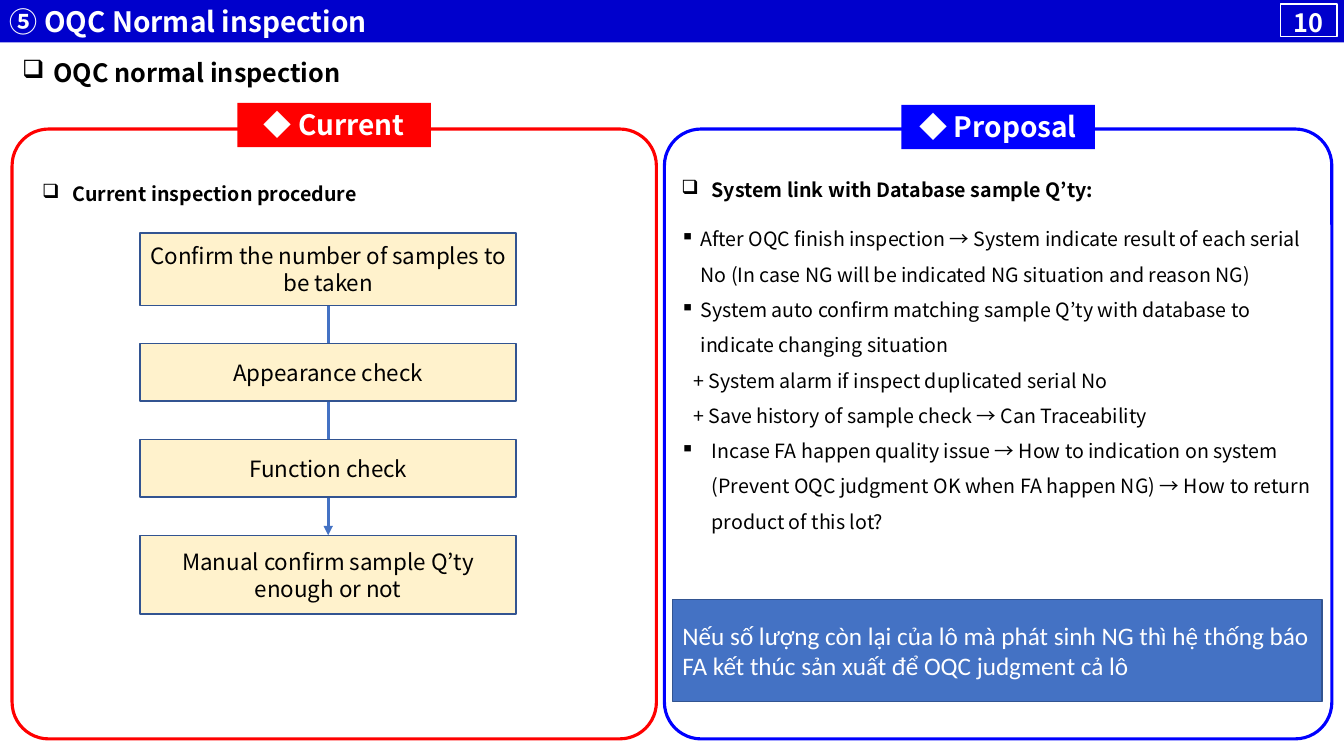
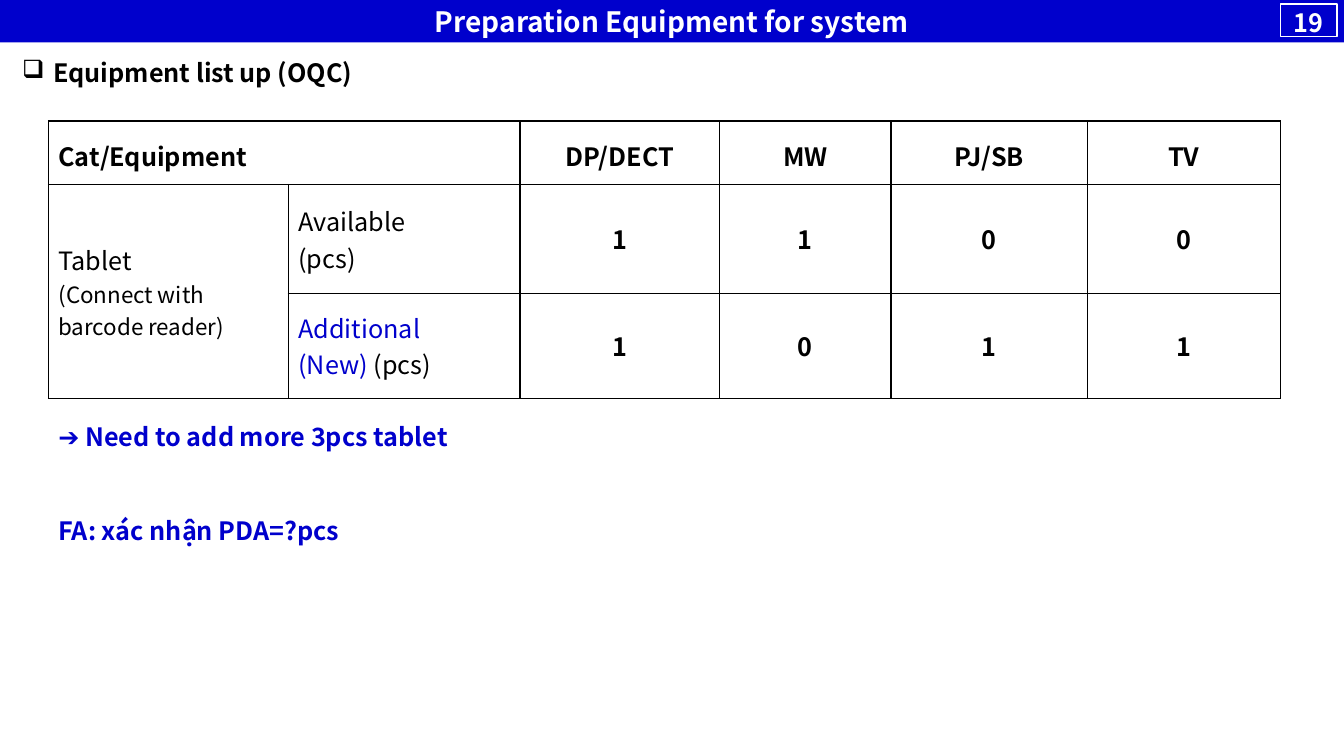
import itertools
from dataclasses import dataclass, replace
from typing import Any, Optional

import lxml.etree
import pptx
import pptx.dml.color
import pptx.enum.shapes
import pptx.enum.text
import pptx.oxml.ns
import pptx.presentation
import pptx.slide
import pptx.table
import pptx.text.text
import pptx.util

ALIGN = pptx.enum.text.PP_ALIGN
ANCHOR = pptx.enum.text.MSO_ANCHOR
SHAPE = pptx.enum.shapes.MSO_SHAPE
WIDTH = pptx.util.Inches(13.33)
HEIGHT = pptx.util.Inches(7.5)


@dataclass(frozen=True)
class Theme:
    font: str = "Noto Sans CJK JP"
    callout_font: str = "Calibri"
    navy: str = "0000CC"
    blue: str = "0000FF"
    red: str = "FF0000"
    white: str = "FFFFFF"
    black: str = "000000"
    accent: str = "4472C4"
    outline: str = "325491"
    cream: str = "FFF2CC"
    title: float = 20
    heading: float = 18
    step: float = 16
    body: float = 14
    thin: float = 1
    thick: float = 2.25


THEME = Theme()


@dataclass(frozen=True)
class Area:
    """Percent shares of the slide's width and height."""
    left: float
    top: float
    width: float
    height: float


@dataclass(frozen=True)
class Run:
    text: str
    size: float = THEME.heading
    color: str = THEME.black
    bold: bool = False
    font: str = THEME.font


@dataclass(frozen=True)
class Line:
    runs: tuple[Run, ...]
    align: ALIGN = ALIGN.LEFT
    bullet: str = ""
    indent: float = 0
    spacing: Optional[float] = None


@dataclass(frozen=True)
class Box:
    area: Area
    lines: tuple[Line, ...] = ()
    shape: Optional[SHAPE] = SHAPE.RECTANGLE
    fill: str = ""
    outline: str = ""
    weight: float = THEME.thin
    anchor: ANCHOR = ANCHOR.MIDDLE
    grows: bool = False
    bottom: float = 0.05


@dataclass(frozen=True)
class Panel:
    area: Area
    color: str
    label: str
    tag_top: float
    heading: str
    heading_left: float
    heading_top: float


def across(share: float) -> int:
    return round(WIDTH * share / 100)


def down(share: float) -> int:
    return round(HEIGHT * share / 100)


def color(code: str) -> pptx.dml.color.RGBColor:
    return pptx.dml.color.RGBColor.from_string(code)


def apply(target: Any, values: dict[str, Any]) -> None:
    for name, value in values.items():
        setattr(target, name, value)


def child(parent: Any, tag: str, **attributes: str) -> Any:
    return lxml.etree.SubElement(parent, pptx.oxml.ns.qn(tag), attributes)


def line(text: str, align: ALIGN = ALIGN.LEFT, bullet: str = "", indent: float = 0,
         spacing: Optional[float] = None, **style: Any) -> Line:
    return Line((Run(text, **style),), align, bullet, indent, spacing)


def write(frame: pptx.text.text.TextFrame, lines: tuple[Line, ...]) -> None:
    for index, item in enumerate(lines):
        paragraph = frame.add_paragraph() if index else frame.paragraphs[0]
        properties = paragraph._p.get_or_add_pPr()
        if item.indent:
            properties.set("marL", str(across(item.indent)))
        if item.bullet:
            properties.set("indent", str(-across(item.indent)))
            child(properties, "a:buChar", char=item.bullet)
        apply(paragraph, {"alignment": item.align, "line_spacing": item.spacing})
        for part in item.runs:
            run = paragraph.add_run()
            run.text = part.text
            apply(run.font, {"name": part.font, "size": pptx.util.Pt(part.size), "bold": part.bold})
            run.font.color.rgb = color(part.color)
            child(run._r.get_or_add_rPr(), "a:ea", typeface=part.font)


def draw_box(slide: pptx.slide.Slide, box: Box) -> None:
    area = box.area
    bounds = across(area.left), down(area.top), across(area.width), down(area.height)
    if box.shape is None:
        shape = slide.shapes.add_textbox(*bounds)
    else:
        shape = slide.shapes.add_shape(box.shape, *bounds)
        shape.shadow.inherit = False
        if box.shape == SHAPE.ROUNDED_RECTANGLE:
            shape.adjustments[0] = 0.06
        if box.fill:
            shape.fill.solid()
            shape.fill.fore_color.rgb = color(box.fill)
        else:
            shape.fill.background()
        if box.outline:
            shape.line.color.rgb = color(box.outline)
            shape.line.width = pptx.util.Pt(box.weight)
        else:
            shape.line.fill.background()
    if box.lines:
        fit = pptx.enum.text.MSO_AUTO_SIZE
        apply(shape.text_frame, {
            "word_wrap": True,
            "vertical_anchor": box.anchor,
            "margin_bottom": pptx.util.Inches(box.bottom),
            "auto_size": fit.SHAPE_TO_FIT_TEXT if box.grows else fit.NONE,
        })
        write(shape.text_frame, box.lines)


def draw_text(slide: pptx.slide.Slide, area: Area, *lines: Line) -> None:
    draw_box(slide, Box(area, lines, shape=None, anchor=ANCHOR.TOP, grows=True))


def start_slide(presentation: pptx.presentation.Presentation, title: str, align: ALIGN,
                number: str, heading: str) -> pptx.slide.Slide:
    slide = presentation.slides.add_slide(presentation.slide_layouts[6])
    bright = {"color": THEME.white, "bold": True}
    draw_box(slide, Box(Area(0, 0, 100, 5.6),
                        (line(title, align, size=THEME.title, **bright),), fill=THEME.navy))
    draw_box(slide, Box(Area(95.27, 0.53, 4.2, 4.27), (line(number, ALIGN.CENTER, **bright),),
                        outline=THEME.white, bottom=0))
    draw_text(slide, Area(0.9, 6.93, 98.2, 5.33),
              line(heading, bullet="❑", indent=2.33, bold=True))
    return slide


def draw_panel(slide: pptx.slide.Slide, panel: Panel) -> None:
    area = panel.area
    tag_width = 14.4
    draw_box(slide, Box(area, shape=SHAPE.ROUNDED_RECTANGLE, outline=panel.color,
                        weight=THEME.thick))
    tag = Area(area.left + (area.width - tag_width) / 2, panel.tag_top, tag_width, 5.87)
    label = line(panel.label, ALIGN.CENTER, size=THEME.title, color=THEME.white, bold=True)
    draw_box(slide, Box(tag, (label,), fill=panel.color, anchor=ANCHOR.TOP, grows=True))
    draw_text(slide, Area(panel.heading_left, panel.heading_top, 46.44, 4.53),
              line(panel.heading, bullet="❑", indent=2.25, size=THEME.body, bold=True))


def draw_arrow(slide: pptx.slide.Slide, x: float, top: float, bottom: float) -> None:
    arrow = slide.shapes.add_connector(pptx.enum.shapes.MSO_CONNECTOR.STRAIGHT,
                                       across(x), down(top), across(x), down(bottom))
    arrow.line.color.rgb = color(THEME.accent)
    arrow.line.width = pptx.util.Pt(THEME.thick)
    child(arrow.line._get_or_add_ln(), "a:tailEnd", type="triangle")
    child(arrow._element.spPr, "a:effectLst")


def draw_steps(slide: pptx.slide.Slide) -> None:
    left, width, first_top, gap = 10.43, 27.98, 30.8, 5.07
    steps = {
        "Confirm the number of samples to be taken": 9.6,
        "Appearance check": 7.6,
        "Function check": 7.6,
        "Manual confirm sample Q’ty enough or not": 10.4,
    }
    heights = list(steps.values())
    tops = list(itertools.accumulate((height + gap for height in heights[:-1]), initial=first_top))
    draw_arrow(slide, left + width / 2, first_top + heights[0], tops[-1])
    for (text, height), top in zip(steps.items(), tops):
        draw_box(slide, Box(Area(left, top, width, height),
                            (line(text, ALIGN.CENTER, size=THEME.step),),
                            fill=THEME.cream, outline=THEME.outline))


def build_inspection(presentation: pptx.presentation.Presentation) -> None:
    slide = start_slide(presentation, "⑤ OQC Normal inspection", ALIGN.LEFT, "10",
                        "OQC normal inspection")
    for panel in (
        Panel(Area(49.44, 17.07, 49.66, 80.67), THEME.blue, "◆ Proposal", 13.87,
              "System link with Database sample Q’ty:", 49.96, 22.93),
        Panel(Area(0.9, 17.07, 47.94, 80.67), THEME.red, "◆ Current", 13.6,
              "Current inspection procedure", 2.4, 23.47),
    ):
        draw_panel(slide, panel)
    draw_steps(slide)
    notes = (
        ("▪", 1.5, "After OQC finish inspection → System indicate result of each serial No "
                   "(In case NG will be indicated NG situation and reason NG)"),
        ("▪", 1.5, "System auto confirm matching sample Q’ty with database to indicate "
                   "changing situation"),
        ("", 0.94, "+ System alarm if inspect duplicated serial No"),
        ("", 0.94, "+ Save history of sample check → Can Traceability"),
        ("▪", 2.33, "Incase FA happen quality issue → How to indication on system (Prevent OQC "
                    "judgment OK when FA happen NG) → How to return product of this lot?"),
    )
    draw_text(slide, Area(49.89, 27.87, 48.99, 48.13),
              *(line(text, bullet=bullet, indent=indent, spacing=1.5, size=THEME.body)
                for bullet, indent, text in notes))
    callout = line("Nếu số lượng còn lại của lô mà phát sinh NG thì hệ thống báo FA kết thúc "
                   "sản xuất để OQC judgment cả lô", color=THEME.white, font=THEME.callout_font)
    draw_box(slide, Box(Area(50.04, 79.33, 48.31, 13.47), (callout,),
                        fill=THEME.accent, outline=THEME.outline))


def format_cell(cell: pptx.table._Cell, lines: tuple[Line, ...], bottom: float) -> None:
    apply(cell, {"vertical_anchor": ANCHOR.MIDDLE, "margin_bottom": pptx.util.Inches(bottom)})
    properties = cell._tc.get_or_add_tcPr()
    for side in ("a:lnL", "a:lnR", "a:lnT", "a:lnB"):
        border = child(properties, side, w=str(pptx.util.Pt(THEME.thin)))
        child(child(border, "a:solidFill"), "a:srgbClr", val=THEME.black)
    cell.fill.background()
    write(cell.text_frame, lines)


def draw_equipment(slide: pptx.slide.Slide) -> None:
    widths = (17.85, 17.25, 14.85, 12.75, 14.63, 14.33)
    heights = (8.4, 14.4, 13.87)
    added = Run("(New) ", color=THEME.navy)
    labels = (
        ((line("Cat/Equipment", bold=True),), ()),
        ((line("Tablet"), line("(Connect with barcode reader)", size=THEME.step)),
         (line("Available"), line("(pcs)"))),
        ((), (Line((replace(added, text="Additional"),)), Line((added, Run("(pcs)"))))),
    )
    values = (("DP/DECT", "MW", "PJ/SB", "TV"), ("1", "1", "0", "0"), ("1", "0", "1", "1"))
    table = slide.shapes.add_table(len(heights), len(widths), across(3.6), down(16),
                                   across(sum(widths)), down(sum(heights))).table
    apply(table, {"first_row": False, "horz_banding": False})
    for column, width in zip(table.columns, widths):
        column.width = across(width)
    for row, height in zip(table.rows, heights):
        row.height = down(height)
    for index, (label, counts) in enumerate(zip(labels, values)):
        numbers = tuple((line(count, ALIGN.CENTER, bold=True),) for count in counts)
        for position, lines in enumerate(label + numbers):
            format_cell(table.cell(index, position), lines, 0.05 if index else 0)
    table.cell(0, 0).merge(table.cell(0, 1))
    table.cell(1, 0).merge(table.cell(2, 0))


def build_equipment(presentation: pptx.presentation.Presentation) -> None:
    slide = start_slide(presentation, "Preparation Equipment for system", ALIGN.CENTER, "19",
                        "Equipment list up (OQC)")
    draw_equipment(slide)
    for top, text in ((55.07, "➔ Need to add more 3pcs tablet"), (67.47, "FA: xác nhận PDA=?pcs")):
        draw_text(slide, Area(3.6, top, 95.5, 5.33), line(text, color=THEME.navy, bold=True))


def main() -> None:
    presentation = pptx.Presentation()
    apply(presentation, {"slide_width": WIDTH, "slide_height": HEIGHT})
    build_inspection(presentation)
    build_equipment(presentation)
    presentation.save("out.pptx")


if __name__ == "__main__":
    main()
